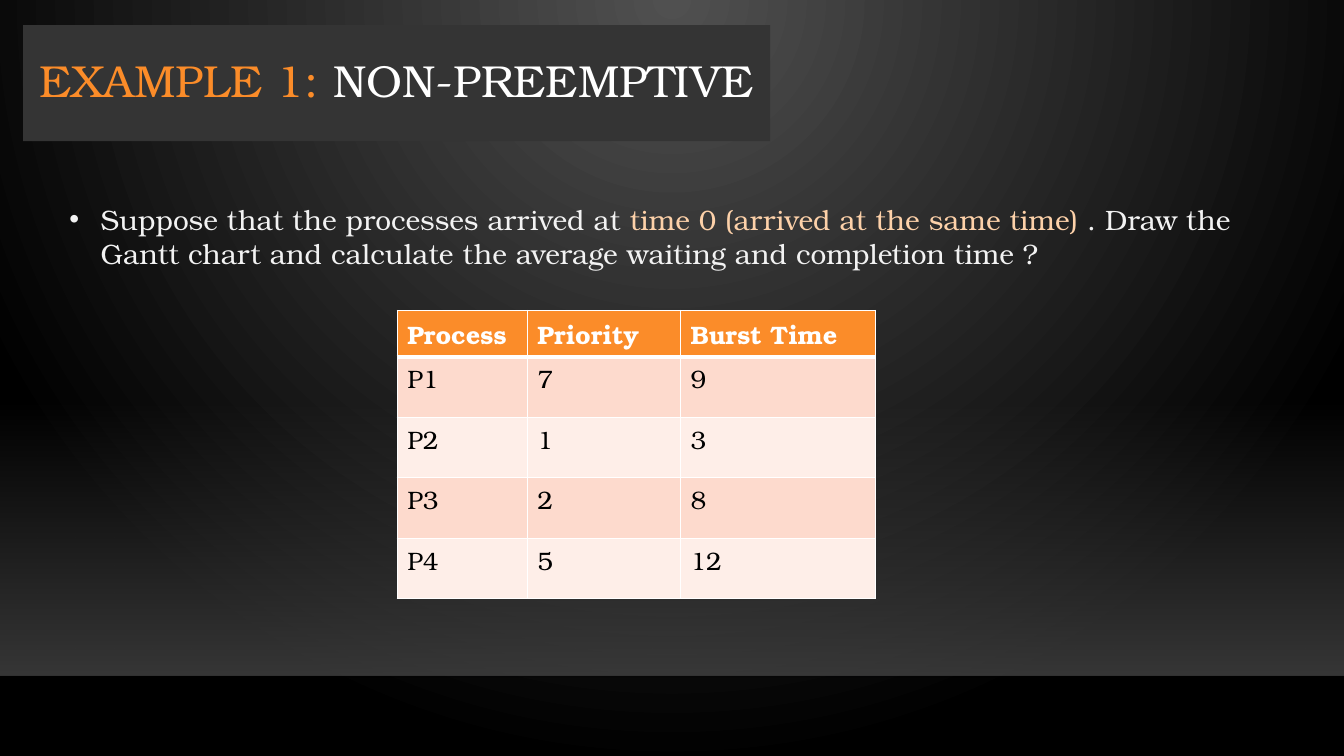
import pptx
import pptx.dml.color
import pptx.enum.shapes
import pptx.enum.text
import pptx.oxml
import pptx.oxml.ns
import pptx.util
from dataclasses import dataclass
from lxml import etree

Inches = pptx.util.Inches
Pt = pptx.util.Pt
RGB = pptx.dml.color.RGBColor.from_string
qn = pptx.oxml.ns.qn


@dataclass(frozen=True)
class Theme:
    font: str = "TeX Gyre Bonum"
    title_size: int = 32
    body_size: int = 20
    table_size: int = 18
    orange: str = "FB8C29"
    peach: str = "FDD1A9"
    white: str = "FFFFFF"
    body: str = "F2F2F2"
    black: str = "000000"
    glow: str = "505050"
    floor: str = "454545"
    edge: str = "000001"
    panel: str = "343434"
    bands: tuple = ("FDDACD", "FEEEE8")


theme = Theme()


def write(paragraph, text, size=theme.body_size, color=theme.body, bold=False):
    run = paragraph.add_run()
    run.text = text
    run.font.name = theme.font
    run.font.size = Pt(size)
    run.font.bold = bold
    run.font.color.rgb = RGB(color)


def set_gradient(fill_parent, stops, direction):
    gradient = fill_parent.find(".//" + qn("a:gradFill"))
    stop_xml = "".join(
        f'<a:gs pos="{position * 1000}"><a:srgbClr val="{color}">'
        f'<a:alpha val="{alpha * 1000}"/></a:srgbClr></a:gs>'
        for position, color, alpha in stops
    )
    gradient.getparent().replace(gradient, pptx.oxml.parse_xml(
        f'<a:gradFill {pptx.oxml.ns.nsdecls("a")} rotWithShape="1">'
        f'<a:gsLst>{stop_xml}</a:gsLst>{direction}</a:gradFill>'
    ))


deck = pptx.Presentation()
deck.slide_width = Inches(13.33)
deck.slide_height = Inches(7.5)
slide = deck.slides.add_slide(deck.slide_layouts[5])

slide.background.fill.gradient()
set_gradient(
    slide.element,
    [(0, theme.glow, 100), (100, theme.black, 100)],
    '<a:path path="circle"><a:fillToRect l="43000" t="0" r="43000" b="100000"/></a:path>',
)

floor = slide.shapes.add_shape(
    pptx.enum.shapes.MSO_SHAPE.RECTANGLE, 0, Inches(3.96), deck.slide_width, Inches(2.74))
floor.shadow.inherit = False
floor.line.fill.background()
floor.fill.gradient()
set_gradient(
    floor.element,
    [(0, theme.floor, 0), (100, theme.floor, 80)],
    '<a:lin ang="5400000" scaled="0"/>',
)

floor_edge = slide.shapes.add_connector(
    pptx.enum.shapes.MSO_CONNECTOR.STRAIGHT, 0, Inches(6.71), deck.slide_width, Inches(6.71))
floor_edge.line.width = Pt(1)
floor_edge.line.color.rgb = RGB(theme.edge)
edge_color = floor_edge.element.spPr.find(".//" + qn("a:srgbClr"))
etree.SubElement(edge_color, qn("a:alpha"), val="20000")
etree.SubElement(floor_edge.element.spPr, qn("a:effectLst"))

title = slide.shapes.title
title.left, title.top = Inches(0.23), Inches(0.25)
title.width, title.height = Inches(7.41), Inches(1.15)
title.fill.solid()
title.fill.fore_color.rgb = RGB(theme.panel)
title.text_frame.word_wrap = True
title.text_frame.auto_size = pptx.enum.text.MSO_AUTO_SIZE.NONE
title.text_frame.vertical_anchor = pptx.enum.text.MSO_ANCHOR.MIDDLE
heading = title.text_frame.paragraphs[0]
heading.alignment = pptx.enum.text.PP_ALIGN.CENTER
heading.line_spacing = 0.9
write(heading, "EXAMPLE 1: ", size=theme.title_size, color=theme.orange)
write(heading, "NON-PREEMPTIVE ", size=theme.title_size, color=theme.white)

question = slide.shapes.add_textbox(Inches(0.59), Inches(1.96), Inches(12.32), Inches(0.77))
question.text_frame.word_wrap = True
task = question.text_frame.paragraphs[0]
task_format = task._p.get_or_add_pPr()
task_format.set("marL", str(Inches(0.31)))
task_format.set("indent", str(-Inches(0.31)))
etree.SubElement(task_format, qn("a:buFont"), typeface="Arial")
etree.SubElement(task_format, qn("a:buChar"), char="•")
write(task, "Suppose that the processes arrived at ")
write(task, "time 0 (arrived at the same time)", color=theme.peach)
write(task, " . Draw the Gantt chart and calculate the average waiting and completion time ?")

processes = [
    ("Process", "Priority", "Burst Time"),
    ("P1", "7", "9"),
    ("P2", "1", "3"),
    ("P3", "2", "8"),
    ("P4", "5", "12"),
]
column_widths = (1.29, 1.52, 1.93)
header_height, row_height = 0.46, 0.6
schedule = slide.shapes.add_table(
    len(processes), len(column_widths), Inches(3.94), Inches(3.08),
    Inches(sum(column_widths)), Inches(header_height + row_height * (len(processes) - 1)),
).table
for column, width in zip(schedule.columns, column_widths):
    column.width = Inches(width)

for row_index, values in enumerate(processes):
    is_header = row_index == 0
    schedule.rows[row_index].height = Inches(header_height if is_header else row_height)
    for column_index, value in enumerate(values):
        cell = schedule.cell(row_index, column_index)
        write(
            cell.text_frame.paragraphs[0], value, size=theme.table_size,
            color=theme.white if is_header else theme.black, bold=is_header,
        )
        cell_format = cell._tc.get_or_add_tcPr()
        for side in ("L", "R", "T", "B"):
            thick = (is_header and side == "B") or (row_index == 1 and side == "T")
            border = etree.SubElement(
                cell_format, qn(f"a:ln{side}"), w=str(Pt(3 if thick else 1)))
            border_fill = etree.SubElement(border, qn("a:solidFill"))
            etree.SubElement(border_fill, qn("a:srgbClr"), val=theme.white)
        cell.fill.solid()
        cell.fill.fore_color.rgb = RGB(
            theme.orange if is_header else theme.bands[(row_index - 1) % 2])

deck.save("out.pptx")
